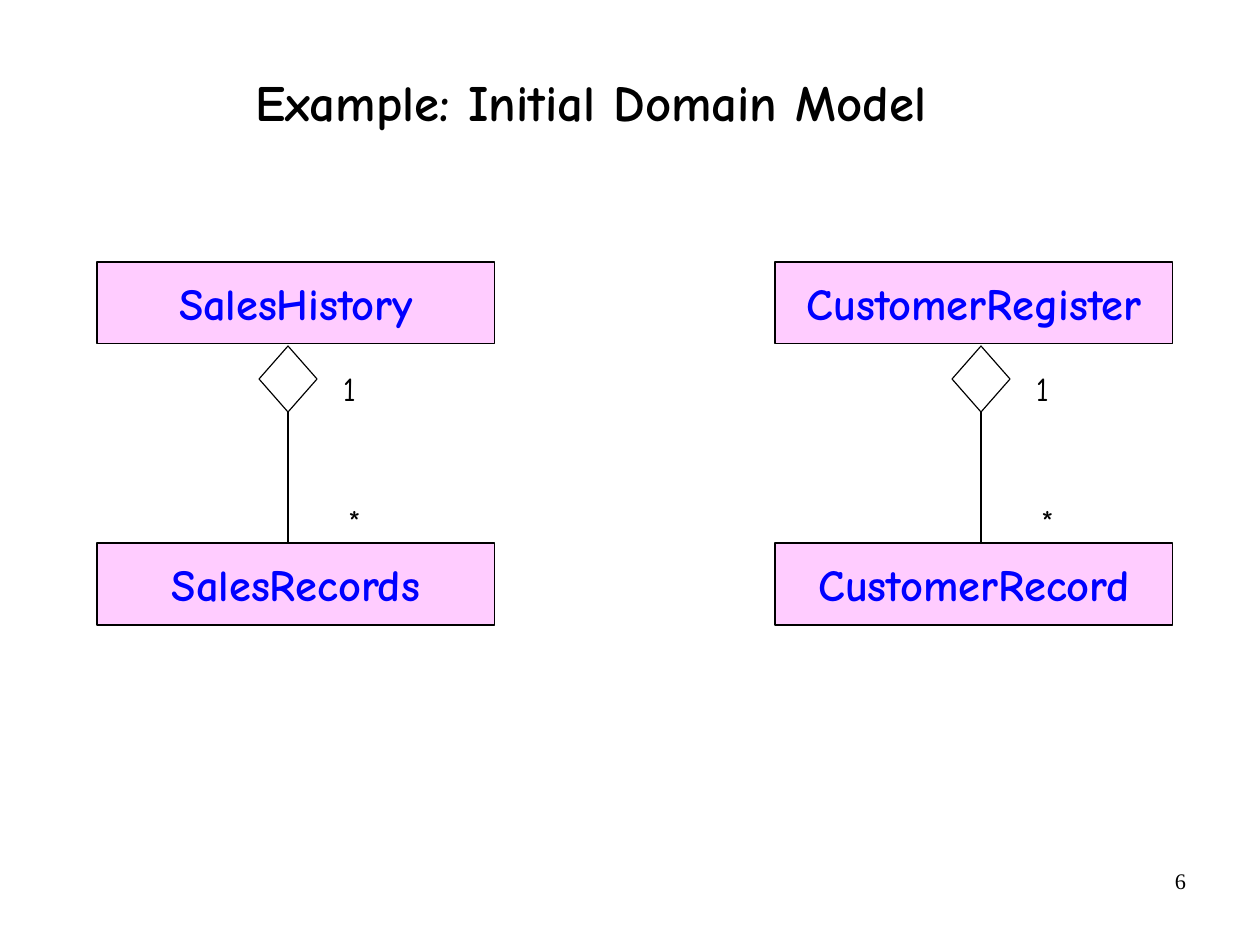
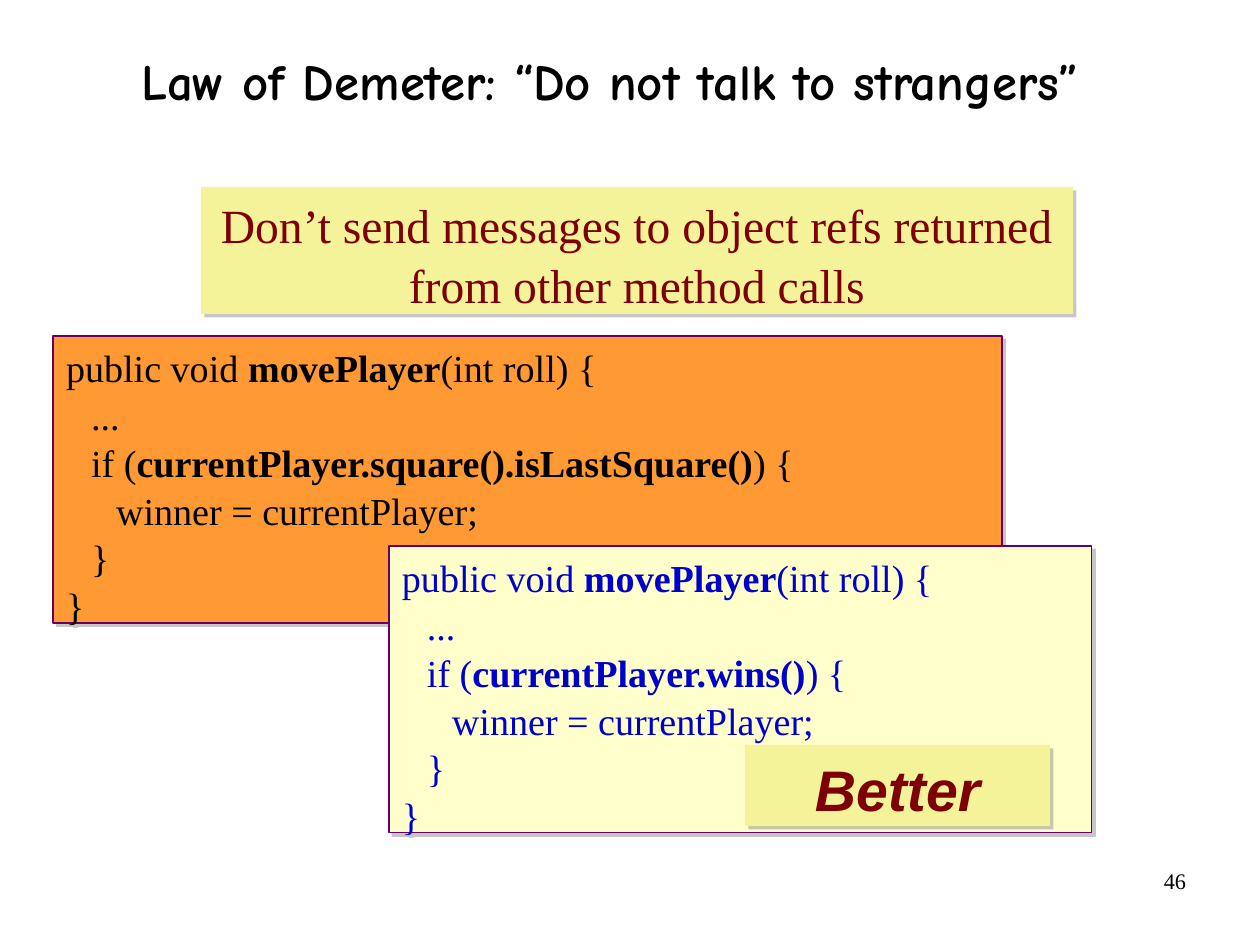
import dataclasses
import pptx
import pptx.dml.color
import pptx.enum.shapes
import pptx.enum.text
import pptx.oxml
import pptx.oxml.ns
import pptx.util
from lxml import etree

PX = 8000
SHAPE = pptx.enum.shapes.MSO_SHAPE
ALIGN = pptx.enum.text.PP_ALIGN
ANCHOR = pptx.enum.text.MSO_ANCHOR


@dataclasses.dataclass(frozen=True)
class Theme:
    ink: str = "000000"
    class_fill: str = "FFCCFF"
    class_ink: str = "0000FF"
    note_fill: str = "F5F399"
    note_ink: str = "7E0007"
    code_line: str = "660066"
    bad_fill: str = "FF9933"
    good_fill: str = "FFFFCC"
    good_ink: str = "0000CC"
    shadow: str = "808080"
    hand: str = "Comic Neue"
    serif: str = "Times New Roman"
    sans: str = "Arial"
    title_size: int = 32
    class_size: int = 28
    multiplicity_size: int = 21
    number_size: int = 14
    note_size: int = 30
    code_size: int = 24
    verdict_size: int = 36


theme = Theme()


def add_box(slide, area, kind=None, fill=None, line=None, shadow=False):
    area = [value * PX for value in area]
    if kind is None:
        return slide.shapes.add_textbox(*area)
    box = slide.shapes.add_shape(kind, *area)
    box.shadow.inherit = False
    if fill:
        box.fill.solid()
        box.fill.fore_color.rgb = pptx.dml.color.RGBColor.from_string(fill)
    else:
        box.fill.background()
    if line:
        box.line.color.rgb = pptx.dml.color.RGBColor.from_string(line)
        box.line.width = pptx.util.Pt(0.75)
    else:
        box.line.fill.background()
    if shadow:
        effects = box._element.spPr.find(pptx.oxml.ns.qn("a:effectLst"))
        effects.append(pptx.oxml.parse_xml(
            f'<a:outerShdw {pptx.oxml.ns.nsdecls("a")} blurRad="0" dist="38100" dir="2700000" '
            f'algn="ctr" rotWithShape="0"><a:srgbClr val="{theme.shadow}">'
            '<a:alpha val="43000"/></a:srgbClr></a:outerShdw>'))
    return box


def write(box, lines, face, size, color, align=ALIGN.LEFT, bold=False, italic=False,
          anchor=ANCHOR.TOP, inset=(13, 7), spacing=None, wrap=True, tab=None):
    frame = box.text_frame
    frame.word_wrap = wrap
    frame.vertical_anchor = anchor
    frame.margin_left = frame.margin_right = inset[0] * PX
    frame.margin_top = frame.margin_bottom = inset[1] * PX
    for index, parts in enumerate(lines):
        paragraph = frame.add_paragraph() if index else frame.paragraphs[0]
        paragraph.alignment = align
        if spacing:
            paragraph.line_spacing = spacing
        if tab:
            stops = etree.SubElement(paragraph._p.get_or_add_pPr(), pptx.oxml.ns.qn("a:tabLst"))
            for step in (1, 2):
                etree.SubElement(stops, pptx.oxml.ns.qn("a:tab"), pos=str(step * tab * PX), algn="l")
        paragraph.font.name = face
        paragraph.font.size = pptx.util.Pt(size)
        paragraph.font.bold = bold
        paragraph.font.italic = italic
        paragraph.font.color.rgb = pptx.dml.color.RGBColor.from_string(color)
        for position, part in enumerate(parts):
            run = paragraph.add_run()
            run.text = part
            if position % 2:
                run.font.bold = True


deck = pptx.Presentation()
deck.slide_width, deck.slide_height = 1260 * PX, 945 * PX

slides = []
for title, area, anchor, inset, spacing, number in (
    ("Example: Initial Domain Model", (56, 23, 1071, 162), ANCHOR.MIDDLE, (2, 7), 0.94, "6"),
    ("Law of Demeter: “Do not talk to strangers”", (53, 58, 1114, 157), ANCHOR.TOP, (0, 0), 0.88, "46"),
):
    slide = deck.slides.add_slide(deck.slide_layouts[6])
    write(add_box(slide, (903, 861, 294, 65)), [[number]], theme.serif, theme.number_size,
          theme.ink, ALIGN.RIGHT, inset=(11, 6))
    write(add_box(slide, area), [[title]], theme.hand, theme.title_size, theme.ink,
          ALIGN.CENTER, bold=True, anchor=anchor, inset=inset, spacing=spacing)
    slides.append(slide)
domain, demeter = slides

whole_top, part_top = 262, 543
for whole, part, left, axis in (
    ("SalesHistory", "SalesRecords", 97, 288),
    ("CustomerRegister", "CustomerRecord", 775, 981),
):
    for class_name, top in ((whole, whole_top), (part, part_top)):
        entity = add_box(domain, (left, top, 398, 82), SHAPE.RECTANGLE, theme.class_fill, theme.ink)
        write(entity, [[class_name]], theme.hand, theme.class_size, theme.class_ink,
              ALIGN.CENTER, bold=True, anchor=ANCHOR.MIDDLE, inset=(0, 0))
    aggregation = add_box(domain, (axis - 29, 346, 58, 66), SHAPE.DIAMOND, line=theme.ink)
    link = domain.shapes.add_connector(pptx.enum.shapes.MSO_CONNECTOR.STRAIGHT,
                                       axis * PX, 412 * PX, axis * PX, part_top * PX)
    link.begin_connect(aggregation, 2)
    link.line.color.rgb = pptx.dml.color.RGBColor.from_string(theme.ink)
    link.line.width = pptx.util.Pt(0.75)
    etree.SubElement(link._element.spPr, pptx.oxml.ns.qn("a:effectLst"))
    for multiplicity, offset, top in (("1", 42, 361), ("*", 47, 494)):
        write(add_box(domain, (axis + offset, top, 39, 53)), [[multiplicity]], theme.hand,
              theme.multiplicity_size, theme.ink, wrap=False)

advice = add_box(demeter, (201, 187, 872, 127), SHAPE.RECTANGLE, theme.note_fill, shadow=True)
write(advice, [["Don’t send messages to object refs returned from other method calls"]],
      theme.serif, theme.note_size, theme.note_ink, ALIGN.CENTER, spacing=1.04)

for condition, area, fill, ink in (
    ("currentPlayer.square().isLastSquare()", (53, 336, 949, 287), theme.bad_fill, theme.ink),
    ("currentPlayer.wins()", (389, 546, 703, 287), theme.good_fill, theme.good_ink),
):
    listing = add_box(demeter, area, SHAPE.RECTANGLE, fill, theme.code_line, shadow=True)
    code = [
        ["public void ", "movePlayer", "(int roll) {"],
        ["\t..."],
        ["\tif (", condition, ") {"],
        ["\t\twinner = currentPlayer;"],
        ["\t}"],
        ["}"],
    ]
    write(listing, code, theme.serif, theme.code_size, ink, spacing=1.04, tab=25)

verdict = add_box(demeter, (745, 745, 305, 81), SHAPE.RECTANGLE, theme.note_fill, shadow=True)
write(verdict, [["Better"]], theme.sans, theme.verdict_size, theme.note_ink,
      ALIGN.CENTER, bold=True, italic=True, spacing=1.04)

deck.save("out.pptx")
